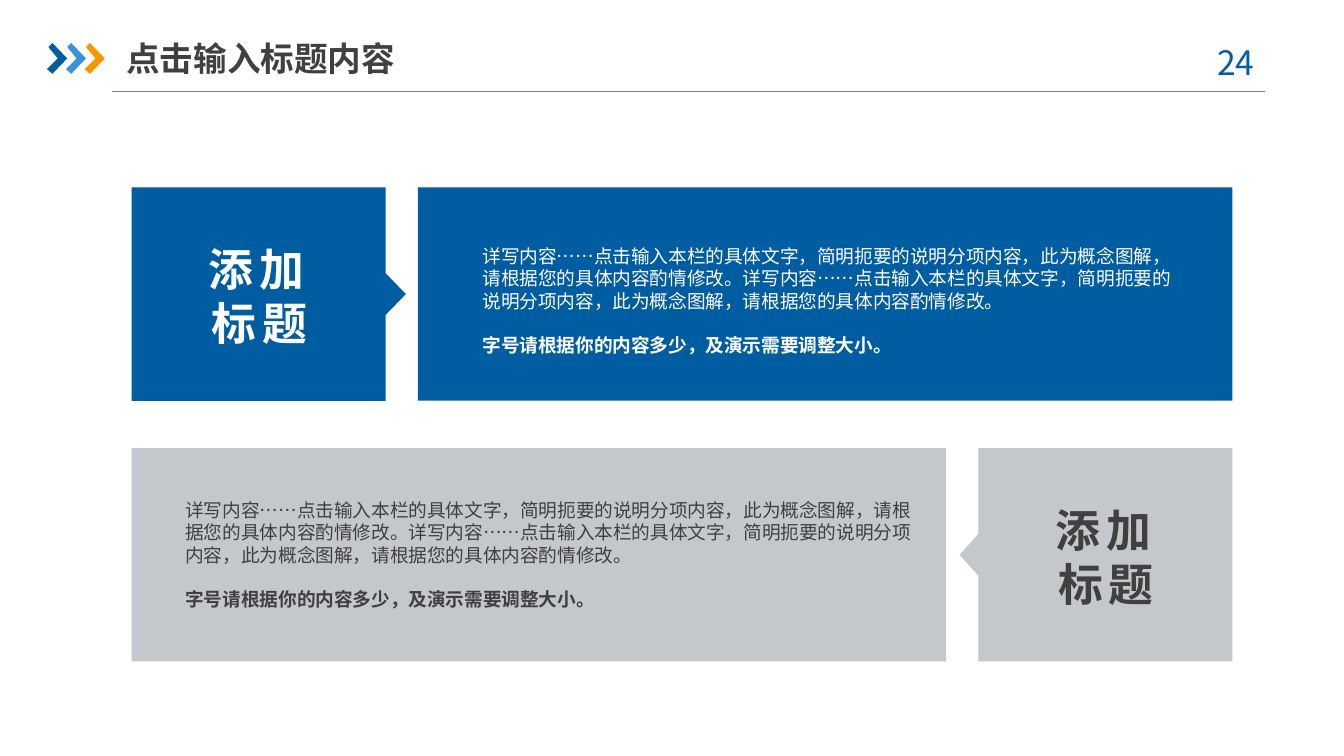
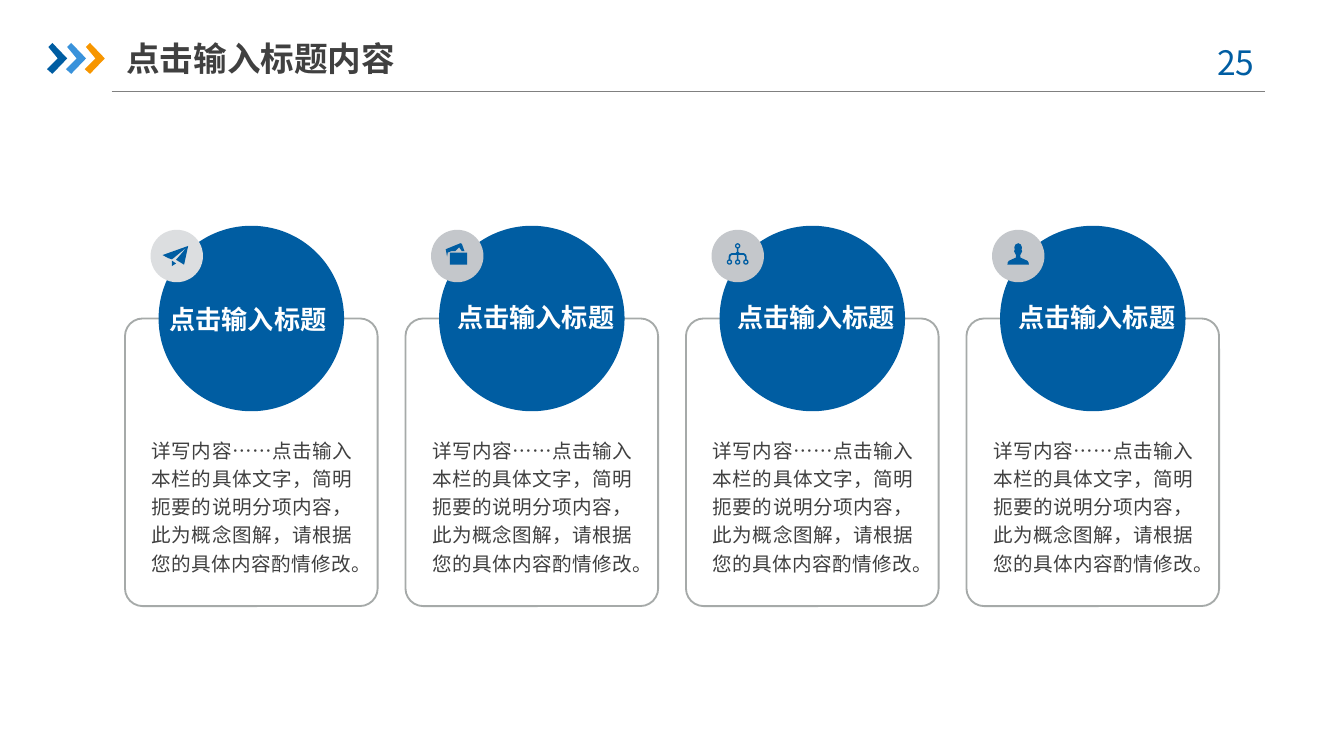
import pptx
import pptx.util
import pptx.dml.color
import pptx.enum.shapes
import pptx.enum.text
import pptx.oxml.ns
from lxml import etree

RGB = pptx.dml.color.RGBColor
SHAPE = pptx.enum.shapes.MSO_SHAPE
ALIGN = pptx.enum.text.PP_ALIGN
ANCHOR = pptx.enum.text.MSO_ANCHOR

BLUE = RGB(0x00, 0x5D, 0xA2)
SKY = RGB(0x39, 0x92, 0xDB)
ORANGE = RGB(0xF7, 0x96, 0x00)
SILVER = RGB(0xC4, 0xC7, 0xCB)
PALE = RGB(0xDC, 0xDE, 0xE0)
BORDER = RGB(0xA6, 0xAA, 0xA9)
RULE = RGB(0x80, 0x80, 0x80)
INK = RGB(0x40, 0x40, 0x40)
WHITE = RGB(0xFF, 0xFF, 0xFF)

FONT = "Noto Sans CJK SC"
COLUMNS = 100
ROWS = 56.25
ICON_STEP = 0.1

HEADING = "点击输入标题内容"
DETAIL = "详写内容……点击输入本栏的具体文字，简明扼要的说明分项内容，此为概念图解，请根据您的具体内容酌情修改。"
SIZE_HINT = "字号请根据你的内容多少，及演示需要调整大小。"
PANEL_TITLE = "添加标题"
CARD_TITLE = "点击输入标题"

CHEVRON = [[(0.1, 0.3), (0.4, 0), (1.5, 1.15), (0.4, 2.3), (0, 1.95), (0.8, 1.15)]]
PLANE = [
    [(16, 27), (19, 25), (16, 23)],
    [(28, 12), (9, 18.8), (13, 21), (16, 22), (27, 13), (19, 22.3), (25, 26)],
]
PHOTOS = [
    [(25, 16), (23, 10.5), (22, 10), (11, 14.5), (12, 20), (12.5, 17), (15, 16), (18, 16), (21, 13), (23, 16)],
    [(14, 17), (27, 17), (27, 26), (14, 26)],
]
PERSON_HALF = [(19.5, 10), (21.5, 11), (22.3, 13), (22.1, 15), (22.5, 16), (21.8, 17.5),
               (21, 19), (21.3, 20.8), (24, 22), (26.5, 23.2), (27.3, 24.5), (27.5, 26)]
PERSON = [PERSON_HALF + [(39 - x, y) for x, y in reversed(PERSON_HALF)]]
TREE = [
    [(18.9, 13.5), (20.1, 13.5), (20.1, 16.5), (21, 17.3), (24, 17.3), (25.8, 18.5), (26.2, 20),
     (26.2, 22.5), (25, 22.5), (25, 20), (23.8, 18.6), (20.1, 18.6), (20.1, 22.5), (18.9, 22.5),
     (18.9, 18.6), (15.2, 18.6), (14, 20), (14, 22.5), (12.8, 22.5), (12.8, 20), (13.2, 18.5),
     (15, 17.3), (18, 17.3), (18.9, 16.5)],
]
TREE_NODES = [(19.5, 12), (13.4, 24), (19.5, 24), (25.6, 24)]


class Board:
    def __init__(self):
        self.deck = pptx.Presentation()
        self.deck.slide_width = pptx.util.Inches(10)
        self.deck.slide_height = pptx.util.Inches(5.625)
        self.page = None

    def across(self, columns):
        return round(self.deck.slide_width * columns / COLUMNS)

    def down(self, rows):
        return round(self.deck.slide_height * rows / ROWS)

    def area(self, left, top, width, height):
        return self.across(left), self.down(top), self.across(width), self.down(height)

    def new_page(self, number):
        self.page = self.deck.slides.add_slide(self.deck.slide_layouts[6])
        self.rule(8.3, 6.8, 94.1)
        for index, color in enumerate((BLUE, SKY, ORANGE)):
            self.outline(3.5 + 1.4 * index, 3.2, CHEVRON, color)
        counter = self.frame(88.6, 2.6, 7.3, 4, inset=(1, 0.5))
        self.paragraph(counter, f"{number} ", 18, BLUE, align=ALIGN.CENTER)
        title = self.frame(9.4, 2.2, 23.3, 4.2, inset=(0, 0.5), anchor=ANCHOR.MIDDLE)
        self.paragraph(title, HEADING, 18, INK, bold=True)

    def rule(self, left, top, right):
        line = self.page.shapes.add_connector(
            pptx.enum.shapes.MSO_CONNECTOR.STRAIGHT,
            self.across(left), self.down(top), self.across(right), self.down(top))
        line.line.color.rgb = RULE
        line.line.width = pptx.util.Pt(0.75)
        etree.SubElement(line._element.spPr, pptx.oxml.ns.qn("a:effectLst"))

    def paint(self, shape, fill=None, border=None):
        shape.shadow.inherit = False
        if fill is None:
            shape.fill.background()
        else:
            shape.fill.solid()
            shape.fill.fore_color.rgb = fill
        if border is None:
            shape.line.fill.background()
        else:
            shape.line.color.rgb = border
            shape.line.width = pptx.util.Pt(1)

    def shape(self, kind, left, top, width, height, fill=None, border=None, adjust=None):
        shape = self.page.shapes.add_shape(kind, *self.area(left, top, width, height))
        if adjust is not None:
            shape.adjustments[0] = adjust
        self.paint(shape, fill, border)

    def outline(self, left, top, contours, fill, step=1):
        placed = [[(self.across(left + x * step), self.down(top + y * step)) for x, y in contour]
                  for contour in contours]
        builder = self.page.shapes.build_freeform(*placed[0][0])
        for index, contour in enumerate(placed):
            if index:
                builder.move_to(*contour[0])
            builder.add_line_segments(contour[1:], close=True)
        self.paint(builder.convert_to_shape(), fill)

    def frame(self, left, top, width, height, inset=(0, 0), anchor=ANCHOR.TOP):
        box = self.page.shapes.add_textbox(*self.area(left, top, width, height))
        frame = box.text_frame
        frame.word_wrap = True
        frame.vertical_anchor = anchor
        frame.margin_left = frame.margin_right = self.across(inset[0])
        frame.margin_top = frame.margin_bottom = self.down(inset[1])
        return frame

    def paragraph(self, frame, text, size, color, bold=False, align=ALIGN.LEFT,
                  before=0, leading=None, tracking=0):
        para = frame.paragraphs[0]
        if para.runs:
            para = frame.add_paragraph()
        para.alignment = align
        para.space_before = pptx.util.Pt(before)
        if leading:
            para.line_spacing = leading
        span = para.add_run()
        span.text = text
        span.font.size = pptx.util.Pt(size)
        span.font.bold = bold
        span.font.color.rgb = color
        span.font.name = FONT
        properties = span.font._element
        etree.SubElement(properties, pptx.oxml.ns.qn("a:ea")).set("typeface", FONT)
        if tracking:
            properties.set("spc", str(tracking * 100))

    def panel(self, top, fill, ink, bar_left, body, title, arrow):
        height = 15.87
        middle = height / 2
        near, far, tip = arrow
        self.shape(SHAPE.RECTANGLE, bar_left, top, 60.6, height, fill)
        self.outline(0, top, [[(near, 0), (far, 0), (far, middle - 1.55), (tip, middle),
                               (far, middle + 1.55), (far, height), (near, height)]], fill)
        frame = self.frame(*body, 8.4)
        self.paragraph(frame, DETAIL * 2, 10, ink)
        self.paragraph(frame, SIZE_HINT, 10, ink, bold=True, align=ALIGN.JUSTIFY, before=12)
        label = self.frame(*title, 9.6, 8.1)
        self.paragraph(label, PANEL_TITLE, 24, ink, bold=True, align=ALIGN.CENTER, tracking=3)

    def card(self, left, icon, badge, title_width, leading):
        self.shape(SHAPE.ROUNDED_RECTANGLE, left, 23.7, 18.8, 21.4, border=BORDER, adjust=0.07)
        self.shape(SHAPE.OVAL, left + 2.5, 16.8, 13.8, 13.8, BLUE)
        self.shape(SHAPE.OVAL, left + 1.9, 17.1, 3.9, 3.9, badge)
        self.outline(left + 1.9, 17.1, icon, BLUE, ICON_STEP)
        if icon is TREE:
            for x, y in TREE_NODES:
                self.shape(SHAPE.DONUT, left + 1.9 + x * ICON_STEP - 0.2,
                           17.1 + y * ICON_STEP - 0.2, 0.4, 0.4, BLUE)
        title = self.frame(left + 3.2, 21.4, title_width, 4.7, anchor=ANCHOR.MIDDLE)
        self.paragraph(title, CARD_TITLE, 14, WHITE, bold=True, align=ALIGN.CENTER,
                       before=10, leading=leading)
        body = self.frame(left + 2, 32.9, 14.9, 9.3, anchor=ANCHOR.MIDDLE)
        self.paragraph(body, DETAIL, 10.5, INK, align=ALIGN.JUSTIFY, before=10, leading=1.2)


def main():
    board = Board()
    board.new_page(24)
    board.panel(13.95, BLUE, WHITE, 31.1, (35.9, 18.2, 52), (14.5, 18), (9.8, 28.7, 30.2))
    board.panel(33.35, SILVER, INK, 9.8, (13.8, 37.1, 54.3), (77.5, 37.4), (91.7, 72.8, 71.4))

    board.new_page(25)
    cards = [(PLANE, PALE, 11.9, 1), (PHOTOS, SILVER, 13, 0.9),
             (TREE, SILVER, 13, 0.9), (PERSON, SILVER, 13, 0.9)]
    for index, card in enumerate(cards):
        board.card(9.3 + 20.87 * index, *card)
    board.deck.save("out.pptx")


if __name__ == "__main__":
    main()
